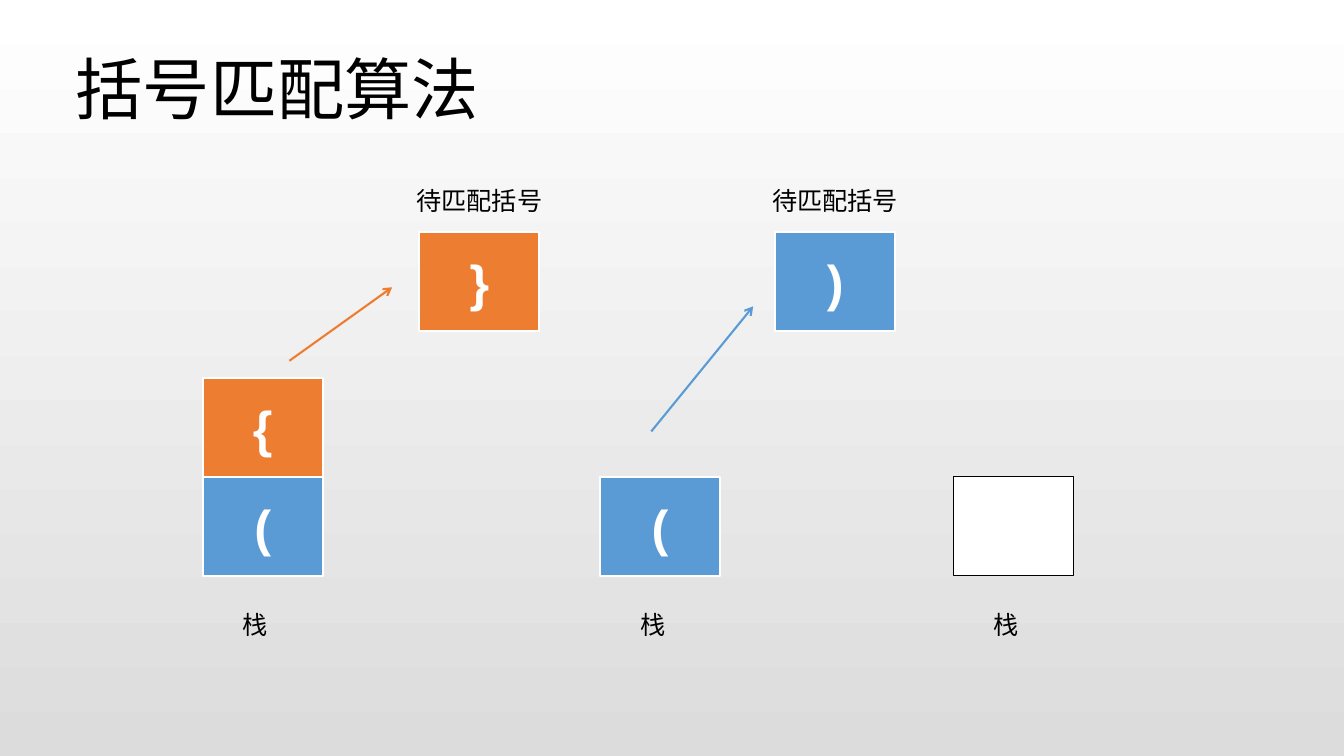
from dataclasses import dataclass

from lxml.etree import SubElement
from pptx import Presentation
from pptx.dml.color import RGBColor
from pptx.enum.shapes import MSO_CONNECTOR as Connector, MSO_SHAPE as Preset
from pptx.enum.text import MSO_ANCHOR as Anchor, MSO_AUTO_SIZE as AutoSize, PP_ALIGN as Align
from pptx.oxml.ns import qn
from pptx.slide import Slide
from pptx.text.text import TextFrame
from pptx.util import Inches, Pt

WHITE = RGBColor(0xFF, 0xFF, 0xFF)
GREY = RGBColor(0xDC, 0xDC, 0xDC)
BLACK = RGBColor(0x00, 0x00, 0x00)
ORANGE = RGBColor(0xED, 0x7D, 0x31)
BLUE = RGBColor(0x5B, 0x9B, 0xD5)

SLIDE_WIDTH = Inches(13.33)
SLIDE_HEIGHT = Inches(7.5)

CELL_WIDTH, CELL_HEIGHT = 8.93, 13.07
STACK_COLUMNS = (15.08, 44.64, 70.97)
PENDING_COLUMNS = (31.21, 57.69)
PENDING_ROW, STACK_BOTTOM_ROW = 30.67, 63.07
STACK_TOP_ROW = STACK_BOTTOM_ROW - CELL_HEIGHT
PENDING_LABEL_ROW, STACK_LABEL_ROW = 23.87, 80
PENDING_LABEL_WIDTH, STACK_LABEL_WIDTH, LABEL_HEIGHT = 10.88, 4.43, 5.33
PENDING_LABEL_SHIFT = (CELL_WIDTH - PENDING_LABEL_WIDTH) / 2
STACK_LABEL_SHIFT = (CELL_WIDTH - STACK_LABEL_WIDTH) / 2

TITLE_FORMAT = {"name": "Arial", "size": Pt(48)}
LABEL_FORMAT = {"name": "Arial", "size": Pt(18)}
BRACKET_FORMAT = {"name": "Arial", "size": Pt(36), "bold": True}


@dataclass(frozen=True)
class Cell:
    column: float
    row: float
    bracket: str = ""
    fill: RGBColor = WHITE
    outline: RGBColor = WHITE
    outline_points: float = 1.5


@dataclass(frozen=True)
class Arrow:
    start: tuple[float, float]
    end: tuple[float, float]
    color: RGBColor


@dataclass(frozen=True)
class Label:
    text: str
    column: float
    row: float
    width: float
    height: float = LABEL_HEIGHT
    wrap: bool = False
    align: Align = Align.LEFT


CELLS = (
    Cell(STACK_COLUMNS[0], STACK_TOP_ROW, "{", ORANGE),
    Cell(STACK_COLUMNS[0], STACK_BOTTOM_ROW, "(", BLUE),
    Cell(PENDING_COLUMNS[0], PENDING_ROW, "}", ORANGE),
    Cell(STACK_COLUMNS[1], STACK_BOTTOM_ROW, "(", BLUE),
    Cell(PENDING_COLUMNS[1], PENDING_ROW, ")", BLUE),
    Cell(STACK_COLUMNS[2], STACK_BOTTOM_ROW, outline=BLACK, outline_points=1),
)
ARROWS = (
    Arrow((21.53, 47.73), (29.18, 38), ORANGE),
    Arrow((48.46, 57.07), (56.04, 40.53), BLUE),
)
TITLE = Label("括号匹配算法", 4.88, 5.6, 31.51, 12.13, align=Align.CENTER)
LABELS = [
    Label("栈", column + STACK_LABEL_SHIFT, STACK_LABEL_ROW, STACK_LABEL_WIDTH, wrap=True)
    for column in STACK_COLUMNS
] + [
    Label("待匹配括号", column + PENDING_LABEL_SHIFT, PENDING_LABEL_ROW, PENDING_LABEL_WIDTH)
    for column in PENDING_COLUMNS
]


def across(percent: float) -> int:
    return round(SLIDE_WIDTH * percent / 100)


def down(percent: float) -> int:
    return round(SLIDE_HEIGHT * percent / 100)


def write(frame: TextFrame, text: str, format_values: dict, color: RGBColor, align: Align) -> None:
    para = frame.paragraphs[0]
    para.alignment = align
    span = para.add_run()
    span.text = text
    for name, value in format_values.items():
        setattr(span.font, name, value)
    span.font.color.rgb = color


def paint_background(page: Slide) -> None:
    fill = page.background.fill
    fill.gradient()
    fill.gradient_angle = 270
    for stop, color, position in zip(fill.gradient_stops, (WHITE, GREY), (0, 1)):
        stop.color.rgb = color
        stop.position = position


def draw_cell(page: Slide, cell: Cell) -> None:
    box = page.shapes.add_shape(
        Preset.RECTANGLE, across(cell.column), down(cell.row), across(CELL_WIDTH), down(CELL_HEIGHT)
    )
    box.shadow.inherit = False
    box.fill.solid()
    box.fill.fore_color.rgb = cell.fill
    box.line.color.rgb = cell.outline
    box.line.width = Pt(cell.outline_points)
    if cell.bracket:
        box.text_frame.vertical_anchor = Anchor.MIDDLE
        write(box.text_frame, cell.bracket, BRACKET_FORMAT, WHITE, Align.CENTER)


def draw_arrow(page: Slide, arrow: Arrow) -> None:
    (left, top), (right, bottom) = arrow.start, arrow.end
    connector = page.shapes.add_connector(
        Connector.STRAIGHT, across(left), down(top), across(right), down(bottom)
    )
    connector.line.color.rgb = arrow.color
    connector.line.width = Pt(1.5)
    SubElement(connector.line._get_or_add_ln(), qn("a:tailEnd"), type="arrow")
    SubElement(connector._element.spPr, qn("a:effectLst"))


def draw_label(page: Slide, label: Label, format_values: dict) -> None:
    box = page.shapes.add_textbox(
        across(label.column), down(label.row), across(label.width), down(label.height)
    )
    frame_values = {"word_wrap": label.wrap, "auto_size": AutoSize.SHAPE_TO_FIT_TEXT}
    for name, value in frame_values.items():
        setattr(box.text_frame, name, value)
    write(box.text_frame, label.text, format_values, BLACK, label.align)


def main() -> None:
    deck = Presentation()
    deck.slide_width, deck.slide_height = SLIDE_WIDTH, SLIDE_HEIGHT
    page = deck.slides.add_slide(deck.slide_layouts[6])
    paint_background(page)
    draw_label(page, TITLE, TITLE_FORMAT)
    for cell in CELLS:
        draw_cell(page, cell)
    for arrow in ARROWS:
        draw_arrow(page, arrow)
    for label in LABELS:
        draw_label(page, label, LABEL_FORMAT)
    deck.save("out.pptx")


if __name__ == "__main__":
    main()
